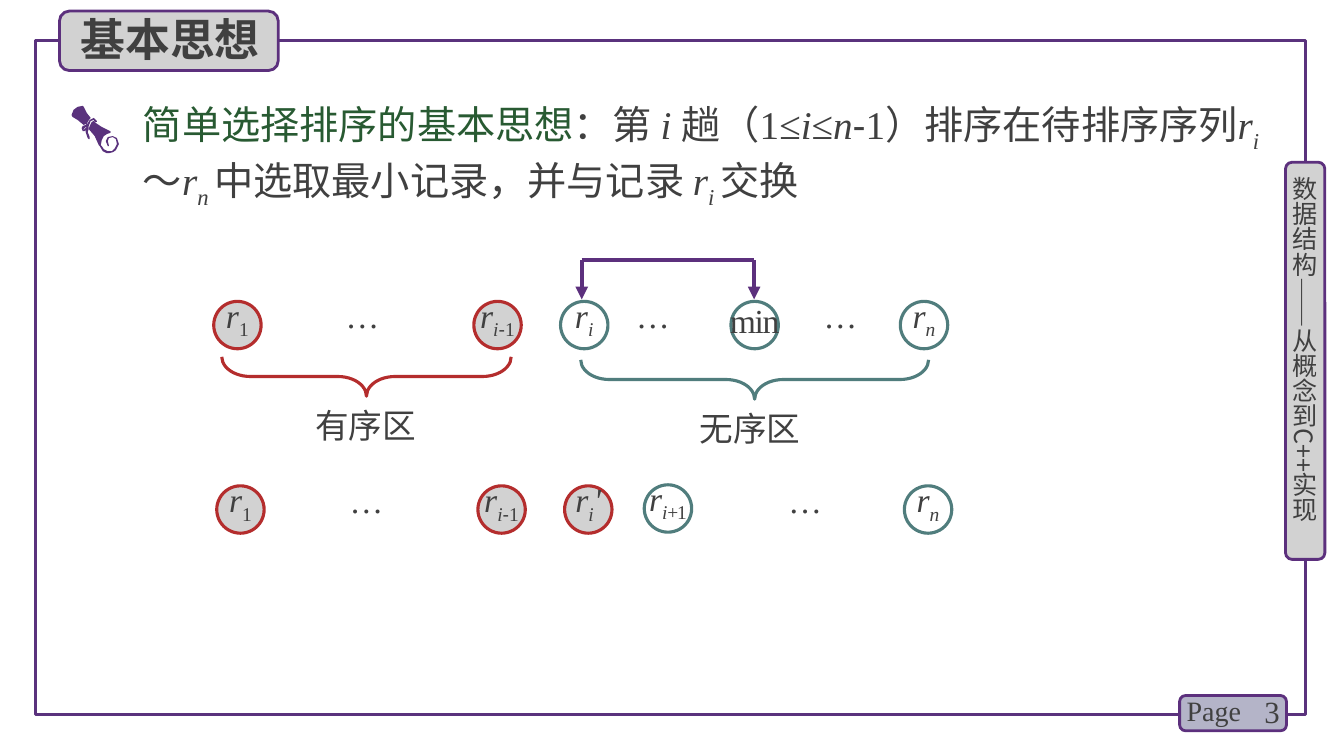
from pptx import Presentation
from pptx.dml.color import RGBColor
from pptx.enum.shapes import MSO_CONNECTOR, MSO_SHAPE
from pptx.enum.text import MSO_ANCHOR, MSO_AUTO_SIZE, PP_ALIGN
from pptx.oxml.ns import qn
from pptx.util import Inches, Pt
from lxml import etree

SERIF, SANS = "Times New Roman", "Noto Sans CJK SC"
PURPLE, BORDER, RED, TEAL = "5A327D", "5C307D", "B42D2D", "507D7D"
GREY, LILAC, INK, GREEN = "D2D2D2", "B4B4C8", "404040", "285A32"
rgb = RGBColor.from_string

CJK = {"name": SANS}
ITALIC = {"italic": True}
SUB = {"baseline": -25}
ITALIC_SUB = {"italic": True, "baseline": -25}
ARIAL_SUB = {"name": "Arial", "baseline": -25}

prs = Presentation()
prs.slide_width, prs.slide_height = Inches(13.33), Inches(7.5)
s = prs.slides.add_slide(prs.slide_layouts[6])


def draw(kind, box, fill, line, width):
    sp = s.shapes.add_shape(kind, *map(Inches, box))
    sp.shadow.inherit = False
    if fill:
        sp.fill.solid()
        sp.fill.fore_color.rgb = rgb(fill)
    else:
        sp.fill.background()
    sp.line.color.rgb = rgb(line)
    sp.line.width = Pt(width)
    return sp


def write(sp, runs, size=24, align=PP_ALIGN.LEFT, leading=None, spc=0, **frame):
    """Fill a shape with one paragraph of (text, format) runs; frame holds text frame settings."""
    tf = sp.text_frame
    frame = {"word_wrap": True, "vertical_anchor": MSO_ANCHOR.TOP, **frame}
    for key, value in frame.items():
        setattr(tf, key, value)
    p = tf.paragraphs[0]
    p.alignment = align
    if leading:
        p.line_spacing = Pt(leading)
    for text, fmt in runs:
        r = p.add_run()
        r.text = text
        fmt = {"name": SERIF, "size": Pt(size), "color": INK, "baseline": 0, **fmt}
        r.font.color.rgb = rgb(fmt.pop("color"))
        baseline = fmt.pop("baseline")
        for key, value in fmt.items():
            setattr(r.font, key, value)
        rPr = r.font._element
        if baseline:
            rPr.set("baseline", str(baseline * 1000))
        if spc:
            rPr.set("spc", str(int(spc * 100)))
        etree.SubElement(rPr, qn("a:ea")).set("typeface", SANS)


# Frame, page tag, side tag and title tag
draw(MSO_SHAPE.RECTANGLE, (0.35, 0.4, 12.6, 6.69), None, PURPLE, 2.25)
for box, fill in [
    ((11.7, 6.9, 1.06, 0.35), LILAC),
    ((12.75, 1.61, 0.39, 3.94), GREY),
    ((0.59, 0.11, 2.17, 0.59), GREY),
]:
    draw(MSO_SHAPE.ROUNDED_RECTANGLE, box, fill, BORDER, 2)

FIT = {"auto_size": MSO_AUTO_SIZE.SHAPE_TO_FIT_TEXT}
NO_MARGIN = dict.fromkeys(("margin_left", "margin_top", "margin_right", "margin_bottom"), 0)
ELLIPSIS = {**FIT, "align": PP_ALIGN.CENTER, "leading": 22}
statement = [
    ("简单选择排序的基本思想", {"color": GREEN}), ("：", {}), ("第 ", CJK),
    ("i ", ITALIC), ("趟", CJK), ("（1≤", {}), ("i", ITALIC), ("≤", {}),
    ("n", ITALIC), ("-", {"name": "Arial"}), ("1）", {}),
    ("排序在待排序序列", CJK), ("r", ITALIC), ("i", ITALIC_SUB), ("～", {}),
    ("r", ITALIC), ("n ", ITALIC_SUB), ("中选取最小记录，并与记录 ", CJK),
    ("r", ITALIC), ("i ", ITALIC_SUB), ("交换", CJK),
]
texts = [
    ((12.2, 6.86, 0.59, 0.4), [("3", {})],
     {"size": 22, "align": PP_ALIGN.RIGHT, "vertical_anchor": MSO_ANCHOR.MIDDLE}),
    ((11.67, 6.83, 0.78, 0.44), [("Page", {})], {**FIT, "size": 20}),
    ((0.7, 0.07, 2.1, 0.64), [("基本思想", {**CJK, "bold": True})], {**FIT, "size": 32}),
    ((1.32, 0.92, 11.33, 1.17), statement, {**FIT, "size": 28, "leading": 40}),
    ((3.03, 3.97, 1.54, 0.51), [("有序区", CJK)], FIT),
    ((6.84, 4, 2.17, 0.51), [("无序区", CJK)], FIT),
]
for x, y in [(3.09, 2.97), (5.97, 2.97), (7.83, 2.97), (3.13, 4.81), (7.48, 4.81)]:
    texts.append(((x, y, 1.01, 0.41), [("…", {})], ELLIPSIS))
for box, runs, layout in texts:
    write(s.shapes.add_textbox(*map(Inches, box)), runs, **layout)

side = s.shapes.add_textbox(*map(Inches, (12.79, 1.75, 0.3, 3.78)))
write(side, [("数据结构——从概念到C++实现", CJK)], size=18, **FIT, **NO_MARGIN)
side.text_frame._txBody.bodyPr.set("vert", "eaVert")

# Scroll icon, outlines in hundredths of an inch
scroll = [
    [[(85, 123), (86, 124), (87, 121), (89, 118), (90, 117), (86, 112), (83, 106),
      (82, 105), (77, 106), (73, 109), (71, 114), (72, 116), (77, 119), (83, 124)]],
    [[(116, 137), (112, 135), (107, 136), (105, 140), (107, 145), (108, 145), (108, 144),
      (107, 140), (108, 137), (112, 136), (115, 138), (116, 143), (114, 147), (111, 150),
      (107, 150), (103, 148), (101, 145), (100, 144), (101, 139), (103, 135), (106, 133),
      (109, 132), (110, 131), (109, 130), (101, 126), (95, 122), (93, 120), (91, 121),
      (89, 125), (88, 128), (94, 135), (98, 144), (99, 145), (102, 150), (106, 152),
      (108, 152), (112, 151), (115, 149), (118, 143), (117, 140)]],
    [[(88, 138), (87, 137), (85, 131), (85, 129), (84, 130), (82, 130), (81, 127),
      (82, 125), (85, 124), (86, 124), (89, 119), (93, 117), (94, 118), (96, 120),
      (96, 121), (94, 121), (93, 119), (90, 120), (88, 125), (88, 128), (87, 131),
      (89, 136), (89, 138)],
     [(85, 126), (83, 128), (83, 129), (84, 128), (85, 127), (86, 126)]],
]
for outlines in scroll:
    builder = s.shapes.build_freeform(*outlines[0][0], scale=Inches(0.01))
    for i, points in enumerate(outlines):
        if i:
            builder.move_to(*points[0])
        builder.add_line_segments(points[1:], close=True)
    part = builder.convert_to_shape()
    part.shadow.inherit = False
    part.fill.solid()
    part.fill.fore_color.rgb = rgb(PURPLE)
    part.line.fill.background()

# Braces under the sorted and unsorted parts
for box, colour in [((3.44, 2.3, 0.39, 2.87), RED), ((7.29, 2.04, 0.39, 3.45), TEAL)]:
    brace = draw(MSO_SHAPE.LEFT_BRACE, box, None, colour, 2.25)
    brace.rotation = 270
    brace.adjustments[0] = 0.729

# Records before and after the exchange
r_1 = [("r", ITALIC), ("1", SUB)]
r_prev = [("r", ITALIC), ("i", ITALIC_SUB), ("-", ARIAL_SUB), ("1", SUB)]
r_i = [("r", ITALIC), ("i", ITALIC_SUB)]
r_next = [("r", ITALIC), ("i", ITALIC_SUB), ("+1", SUB)]
r_n = [("r", ITALIC), ("n", ITALIC_SUB)]
TOP, BOTTOM = 2.99, 4.82
records = [
    (2.12, TOP, True, r_1, 0, 0.1),
    (4.7, TOP, True, r_prev, -0.7, 0),
    (5.56, TOP, False, r_i, 0, 0.1),
    (7.25, TOP, False, [("min", {})], -1, 0.1),
    (8.93, TOP, False, r_n, 0, 0.1),
    (2.15, BOTTOM, True, r_1, 0, 0.1),
    (4.74, BOTTOM, True, r_prev, -0.7, 0),
    (5.6, BOTTOM, True, r_i + [("'", ITALIC)], 0, 0.1),
    (6.39, 4.81, False, r_next, -1, 0.1),
    (8.97, BOTTOM, False, r_n, 0, 0.1),
]
for x, y, is_sorted, runs, spc, margin in records:
    fill, line = (GREY, RED) if is_sorted else (None, TEAL)
    circle = draw(MSO_SHAPE.OVAL, (x, y, 0.47, 0.47), fill, line, 2.25)
    write(circle, runs, align=PP_ALIGN.CENTER, leading=22, spc=spc, word_wrap=False,
          vertical_anchor=MSO_ANCHOR.MIDDLE,
          **{**NO_MARGIN, "margin_left": Inches(margin), "margin_right": Inches(margin)})

# Exchange arrows
for x1, y1, x2, y2, has_head in [
    (5.77, 2.58, 7.48, 2.58, False),
    (7.48, 2.58, 7.48, 2.97, True),
    (5.77, 2.58, 5.77, 2.97, True),
]:
    arrow = s.shapes.add_connector(MSO_CONNECTOR.STRAIGHT, *map(Inches, (x1, y1, x2, y2)))
    arrow.line.color.rgb = rgb(BORDER)
    arrow.line.width = Pt(3)
    if has_head:
        etree.SubElement(arrow.line._get_or_add_ln(), qn("a:tailEnd")).set("type", "triangle")
    etree.SubElement(arrow._element.spPr, qn("a:effectLst"))

prs.save("out.pptx")
